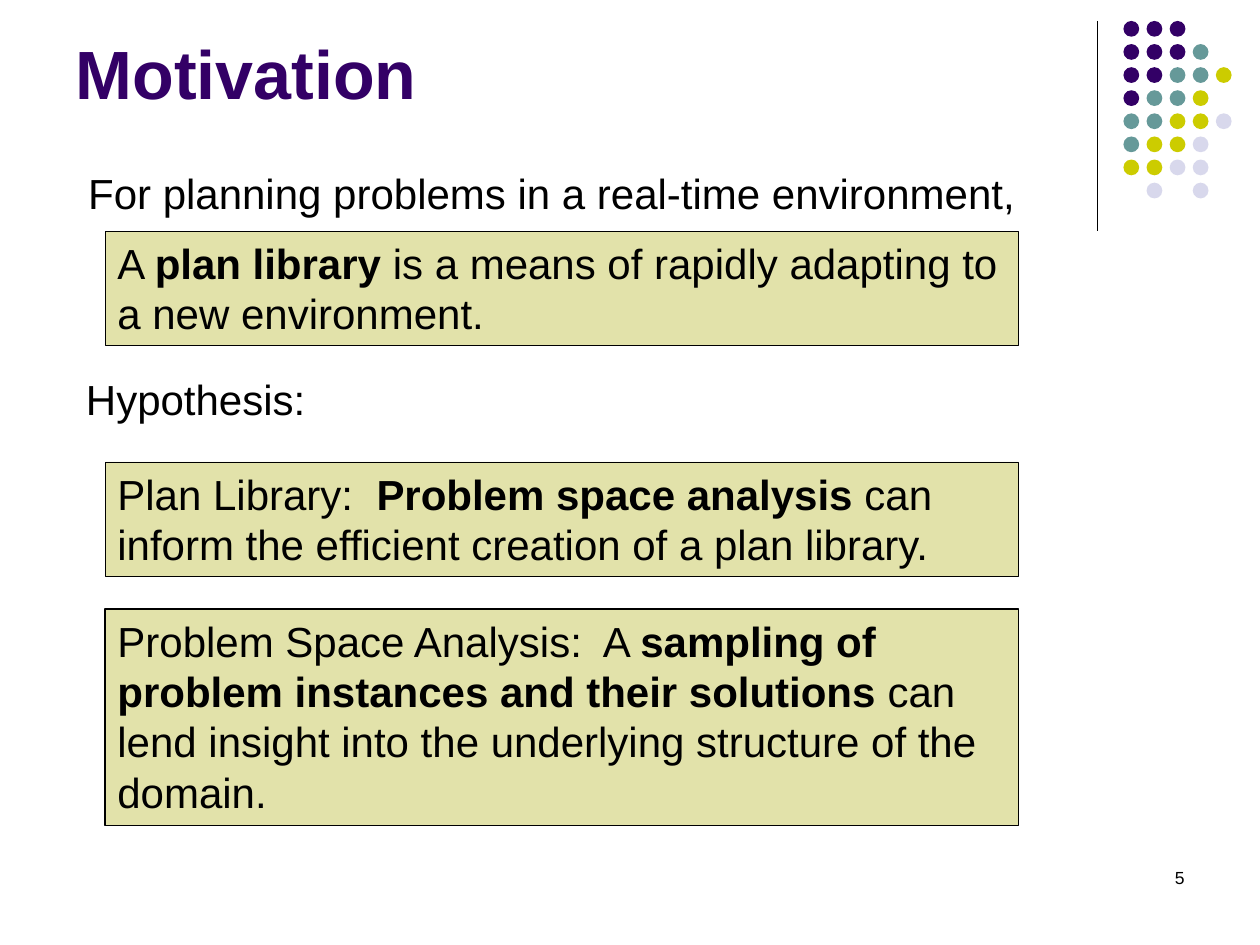
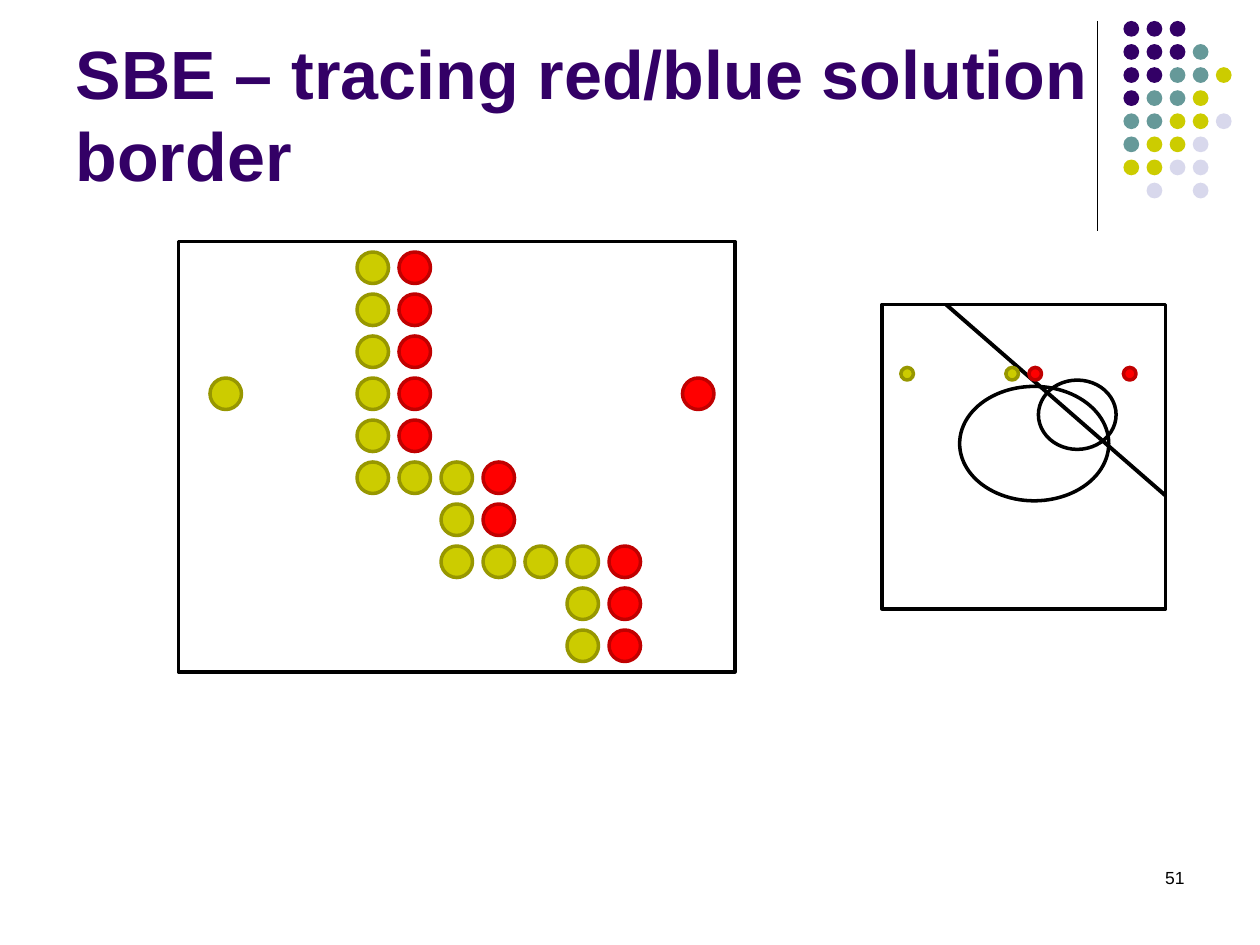
from pptx import Presentation
from pptx import util as u
from pptx.dml import color
from pptx.enum import shapes, text
from pptx.oxml import ns, xmlchemy

FONT = "Arial"
BLACK, INDIGO, TEAL, OLIVE, LILAC = "000000", "330066", "669999", "CCCC00", "D8D8EC"
RED, SAND, DARK_OLIVE, DARK_RED = "FF0000", "E2E2AA", "979700", "C00000"

COLUMNS, ROWS = 120, 90  # grid cells are square, twelve to the inch

# Letter in a dot pattern -> fill and outline
DOT_COLOURS = {
    "P": (INDIGO, None), "T": (TEAL, None), "Y": (OLIVE, None), "L": (LILAC, None),
    "o": (OLIVE, DARK_OLIVE), "r": (RED, DARK_RED),
}
CORNER_DOTS = ["PPP", "PPPT", "PPTTY", "PTTY", "TTYYL", "TYYL", "YYLL", " L L"]
BORDER_DOTS = ["or"] * 5 + ["ooor", "  or", "  oooor"] + ["     or"] * 2


def rgb(hex_code):
    return color.RGBColor.from_string(hex_code)


def write(box, spans, size=24, colour=BLACK, bold=False, align="LEFT",
          inset=(0.1, 0.05)):
    """Fill a box with one paragraph; every second span is bold."""
    frame = box.text_frame
    frame.word_wrap = True
    frame.auto_size = text.MSO_AUTO_SIZE.NONE
    frame.vertical_anchor = text.MSO_ANCHOR.TOP
    frame.margin_left, frame.margin_top = map(u.Inches, inset)
    para = frame.paragraphs[0]
    para.alignment = getattr(text.PP_ALIGN, align)
    for index, words in enumerate(spans):
        span = para.add_run()
        span.text = words
        span.font.name, span.font.size = FONT, u.Pt(size)
        span.font.bold = bold or index % 2 == 1
        span.font.color.rgb = rgb(colour)


class Pages:
    """The deck, its shared look and the page being filled."""

    def __init__(self):
        self.deck = Presentation()
        self.deck.slide_width, self.deck.slide_height = u.Inches(10), u.Inches(7.5)
        self.page = None

    def place(self, *cells):
        """Turn alternating columns and rows into lengths."""
        units = (self.deck.slide_width / COLUMNS, self.deck.slide_height / ROWS)
        return [u.Emu(round(cell * units[i % 2])) for i, cell in enumerate(cells)]

    def add_page(self, title, number):
        self.page = self.deck.slides.add_slide(self.deck.slide_layouts[5])
        # Title
        box = self.page.shapes.title
        box.left, box.top, box.width, box.height = self.place(6, 1.5, 99, 17)
        write(box, [title], size=39, colour=INDIGO, bold=True, inset=(0.1, 0.12))
        # Corner ornament
        self.line(104.5, 2, 104.5, 22, width=0.75)
        self.dots(CORNER_DOTS, 107, 2, pitch=2.2, size=1.5)
        # Page number
        self.label([str(number)], 86, 82, 28, 6, size=10, align="RIGHT")

    def label(self, spans, *cells, **style):
        write(self.page.shapes.add_textbox(*self.place(*cells)), spans, **style)

    def shape(self, kind, *cells, fill=None, line=BLACK, width=2):
        preset = getattr(shapes.MSO_SHAPE, kind)
        shape = self.page.shapes.add_shape(preset, *self.place(*cells))
        shape.shadow.inherit = False
        for part, colour in ((shape.fill, fill), (shape.line.fill, line)):
            if colour:
                part.solid()
                part.fore_color.rgb = rgb(colour)
            else:
                part.background()
        if line:
            shape.line.width = u.Pt(width)
        return shape

    def panel(self, spans, top, height, width=0.25):
        box = self.shape("RECTANGLE", 10, top, 87, height, fill=SAND, width=width)
        write(box, spans)

    def line(self, *ends, width):
        line = self.page.shapes.add_connector(
            shapes.MSO_CONNECTOR.STRAIGHT, *self.place(*ends))
        line.line.color.rgb = rgb(BLACK)
        line.line.width = u.Pt(width)
        effects = xmlchemy.OxmlElement("a:effectLst")
        line._element.find(ns.qn("p:spPr")).append(effects)

    def dots(self, pattern, left, top, pitch=4, size=3):
        """Draw a grid of dots, one letter a dot and a space for a gap."""
        for row, letters in enumerate(pattern):
            for column, letter in enumerate(letters):
                if letter != " ":
                    fill, line = DOT_COLOURS[letter]
                    self.shape("OVAL", left + column * pitch, top + row * pitch,
                               size, size, fill=fill, line=line)


def add_motivation(pages):
    pages.add_page("Motivation", 5)
    pages.label(["For planning problems in a real-time environment,"],
                3, 14, 108, 13.5, inset=(0.45, 0.16))
    pages.panel(["A ", "plan library ",
                 "is a means of rapidly adapting to a new environment."], 22, 10.9)
    pages.label(["Hypothesis:"], 7, 35, 39, 6.1)
    pages.panel(["Plan Library:  ", "Problem space analysis ",
                 "can inform the efficient creation of a plan library."], 44, 10.9)
    pages.panel(["Problem Space Analysis:  A ",
                 "sampling of problem instances and their solutions",
                 " can lend insight into the underlying structure of the domain."],
                58, 20.6, width=0.75)


def add_border_tracing(pages):
    pages.add_page("SBE – tracing red/blue solution border", 51)
    # Enlarged border, with the two starting points on its fourth row
    pages.dots(BORDER_DOTS, 34, 24)
    pages.dots(["o"], 20, 36)
    pages.dots(["r"], 65, 36)
    pages.shape("RECTANGLE", 17, 23, 53, 41)
    # Whole problem space
    pages.shape("RECTANGLE", 84, 29, 27, 29)
    pages.line(111, 47.2, 90.1, 29, width=2.25)
    pages.shape("OVAL", 98.9, 36.2, 7.4, 6.6)
    pages.shape("OVAL", 91.4, 36.8, 14.2, 10.9)
    for letter, left in (("o", 85.8), ("r", 107), ("o", 95.8), ("r", 98)):
        pages.dots([letter], left, 35, size=1.2)


def main():
    pages = Pages()
    add_motivation(pages)
    add_border_tracing(pages)
    pages.deck.save("out.pptx")


if __name__ == "__main__":
    main()
